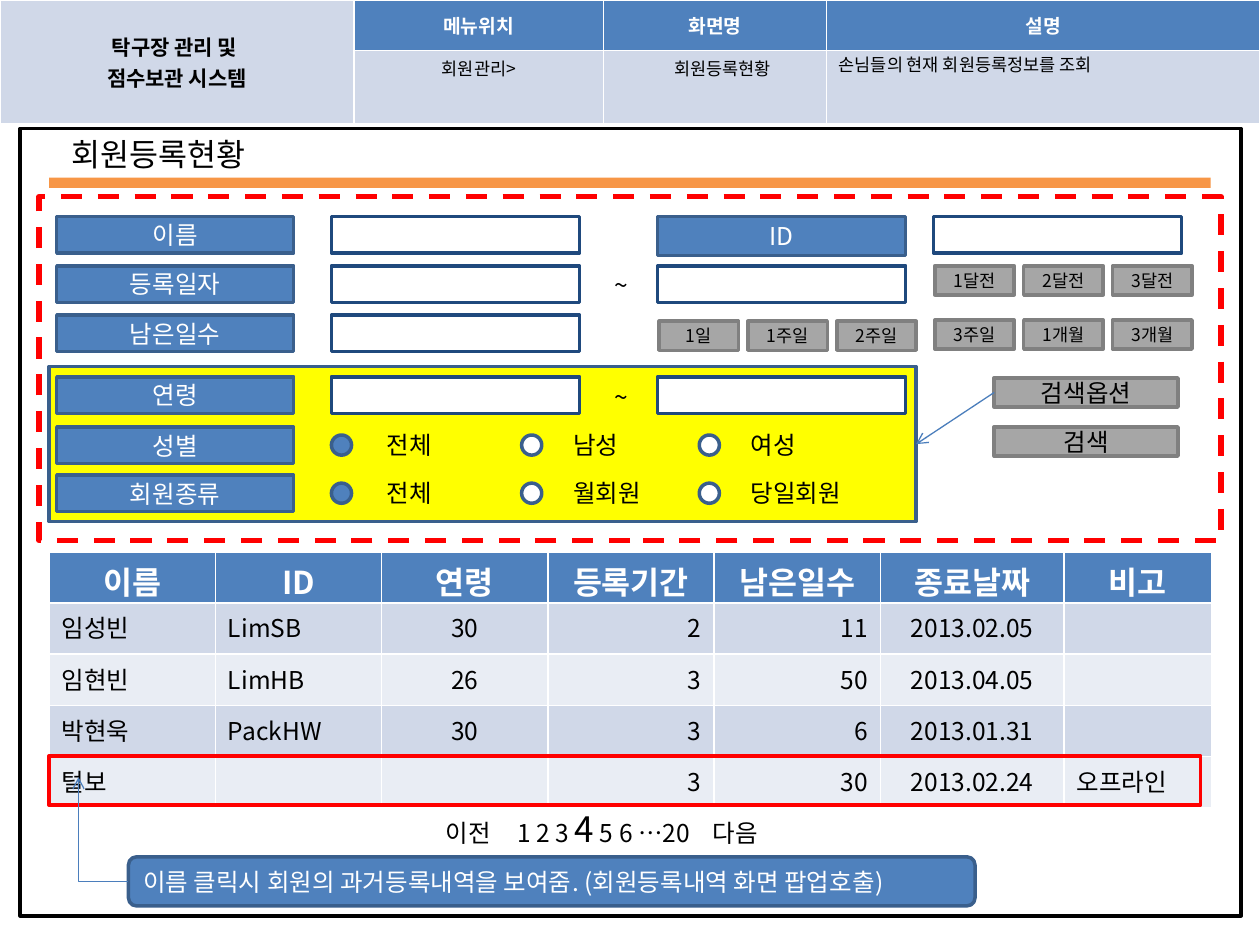
import pptx
import pptx.util
import pptx.dml.color
import pptx.enum.dml
import pptx.enum.shapes
import pptx.enum.text
import pptx.oxml
import pptx.oxml.ns

Pt = pptx.util.Pt
SHAPE = pptx.enum.shapes.MSO_SHAPE
LINK = pptx.enum.shapes.MSO_CONNECTOR
ANCHOR = pptx.enum.text.MSO_ANCHOR
ALIGN = {"l": pptx.enum.text.PP_ALIGN.LEFT, "c": pptx.enum.text.PP_ALIGN.CENTER,
         "r": pptx.enum.text.PP_ALIGN.RIGHT}
FONT = "Noto Sans CJK KR"
BLUE, EDGE, NAVY, WIRE = "4F81BD", "3A5F8C", "1F497D", "4B7EBC"
GRAY, DARK, BAND, PALE = "A6A6A6", "808080", "D0D8E8", "E9EDF4"
WHITE, BLACK, RED = "FFFFFF", "000000", "FF0000"

TITLE = "탁구장 관리 및 \n점수보관 시스템"
HEADS = ["메뉴위치", "화면명", "설명"]
HEAD_COLS = [202.3, 142.6, 127.4, 247.7]
# text, left, top, width, align, size
NOTES = [
    ("회원관리>", 202.3, 29.5, 142.6, "c", 10),
    ("회원등록현황", 352.8, 29.5, 120.2, "c", 10),
    ("손님들의 현재 회원등록정보를 조회", 472.3, 27.4, 247.7, "l", 10),
    ("회원등록현황", 33.8, 73.4, 247.7, "l", 18),
    ("~", 344.2, 150.5, 28.1, "l", 14),
    ("~", 344.2, 214.6, 28.1, "l", 14),
]
LABELS = {"이름": 123.8, "등록일자": 151.9, "남은일수": 180,
          "연령": 215.3, "성별": 244, "회원종류": 271.5}
COL_1, COL_2, COL_3 = 189.4, 375.8, 533.5
FIELDS = [(COL_1, "이름"), (COL_3, "이름"), (COL_1, "등록일자"), (COL_2, "등록일자"),
          (COL_1, "남은일수"), (COL_1, "연령"), (COL_2, "연령")]
# left, top, captions
QUICK = [(534.2, 151.9, ["1달전", "2달전", "3달전"]),
         (376.6, 183.6, ["1일", "1주일", "2주일"]),
         (534.2, 182.9, ["3주일", "1개월", "3개월"])]
# dot left, text left, text width
RADIO = [(189.4, 213.8, 56.2), (298.1, 320.4, 73.4), (399.6, 421.9, 95.8)]
CHOICE = {"성별": ["전체", "남성", "여성"], "회원종류": ["전체", "월회원", "당일회원"]}
MEMBERS = [
    ["이름", "ID", "연령", "등록기간", "남은일수", "종료날짜", "비고"],
    ["임성빈", "LimSB", "30", "2", "11", "2013.02.05", ""],
    ["임현빈", "LimHB", "26", "3", "50", "2013.04.05", ""],
    ["박현욱", "PackHW", "30", "3", "6", "2013.01.31", ""],
    ["털보", "", "", "3", "30", "2013.02.24", "오프라인"],
]
MEMBER_COLS = [95] * 5 + [105.1, 84.2]
PAGES = [("이전\t1 2 3 ", 14), ("4", 20), (" 5 6 …20\t다음", 14)]
TIP = "이름 클릭시 회원의 과거등록내역을 보여줌. (회원등록내역 화면 팝업호출)"

deck = pptx.Presentation()
deck.slide_width, deck.slide_height = Pt(720), Pt(540)
slide = deck.slides.add_slide(deck.slide_layouts[6])
shapes = slide.shapes


def rgb(code):
    return pptx.dml.color.RGBColor.from_string(code)


def write(frame, text, size=14, color=BLACK, bold=False, align="l"):
    """Fill a frame; text is a string or a list of (string, size) runs."""
    runs = [(text, size)] if isinstance(text, str) else text
    para = frame.paragraphs[0]
    para.alignment = ALIGN[align]
    for words, pts in runs:
        for i, part in enumerate(words.split("\n")):
            if i:
                para = frame.add_paragraph()
                para.alignment = ALIGN[align]
            run = para.add_run()
            run.text = part
            font = run.font
            font.size, font.bold, font.name = Pt(pts), bold, FONT
            font.color.rgb = rgb(color)
            east = pptx.oxml.parse_xml(
                f'<a:ea {pptx.oxml.ns.nsdecls("a")} typeface="{FONT}"/>')
            run._r.get_or_add_rPr().append(east)


def box(x, y, w, h, fill=None, line=None, width=2, kind=SHAPE.RECTANGLE,
        text="", **style):
    item = shapes.add_shape(kind, Pt(x), Pt(y), Pt(w), Pt(h))
    item.shadow.inherit = False
    if fill:
        item.fill.solid()
        item.fill.fore_color.rgb = rgb(fill)
    else:
        item.fill.background()
    if line:
        item.line.color.rgb = rgb(line)
        item.line.width = Pt(width)
    else:
        item.line.fill.background()
    if text:
        item.text_frame.vertical_anchor = ANCHOR.MIDDLE
        write(item.text_frame, text, **style)
    return item


def label(text, x, y, w=135.4, h=20.9):
    box(x, y, w, h, BLUE, EDGE, text=text, color=WHITE, align="c")


def button(text, x, y, w, size):
    return box(x, y, w, 16.6, GRAY, DARK, text=text, size=size, align="c")


def note(text, x, y, w, h, **style):
    frame = shapes.add_textbox(Pt(x), Pt(y), Pt(w), Pt(h)).text_frame
    frame.word_wrap = True
    frame.auto_size = pptx.enum.text.MSO_AUTO_SIZE.SHAPE_TO_FIT_TEXT
    write(frame, text, **style)
    return frame


def grid(x, y, cols, rows):
    """Add a table with given column widths and row heights."""
    table = shapes.add_table(len(rows), len(cols), Pt(x), Pt(y),
                             Pt(sum(cols)), Pt(sum(rows))).table
    for col, w in zip(table.columns, cols):
        col.width = Pt(w)
    for row, h in zip(table.rows, rows):
        row.height = Pt(h)
    return table


def paint(cell, fill):
    cell.fill.solid()
    cell.fill.fore_color.rgb = rgb(fill)


def wire(kind, x1, y1, x2, y2):
    """Add a thin connector with an open arrowhead at its end."""
    link = shapes.add_connector(kind, Pt(x1), Pt(y1), Pt(x2), Pt(y2))
    link.line.color.rgb = rgb(WIRE)
    link.line.width = Pt(0.75)
    names = pptx.oxml.ns.nsdecls("a")
    link.line._get_or_add_ln().append(
        pptx.oxml.parse_xml(f'<a:tailEnd {names} type="arrow"/>'))
    link._element.spPr.append(pptx.oxml.parse_xml(f"<a:effectLst {names}/>"))
    return link


# Page header
top = grid(0, 0, HEAD_COLS, [28.8, 35.5])
for c in range(4):
    paint(top.cell(0, c), BLUE if c else BAND)
    paint(top.cell(1, c), BAND)
    top.cell(0, c).vertical_anchor = ANCHOR.MIDDLE
top.cell(0, 0).merge(top.cell(1, 0))
write(top.cell(0, 0).text_frame, TITLE, size=12, bold=True, align="c")
for c, head in enumerate(HEADS, 1):
    write(top.cell(0, c).text_frame, head, size=11, color=WHITE, bold=True, align="c")

# Screen frame and search area
box(11.5, 73.4, 697.7, 450, line=BLACK)
box(28.1, 101.5, 663.8, 5.8, "F79646")
extra = box(28.1, 209.5, 495.4, 88.6, "FFFF00", EDGE)
area = box(22.3, 112.3, 675.4, 196.6, line=RED, width=3)
area.line.dash_style = pptx.enum.dml.MSO_LINE.DASH
for text, x, y, w, align, size in NOTES:
    note(text, x, y, w, size * 1.2 + 7.2, align=align, size=size)
for text, y in LABELS.items():
    label(text, 32.4, y)
label("ID", COL_2, LABELS["이름"], 141.8, 22.3)
for x, row in FIELDS:
    box(x, LABELS[row], 141.8, 20.9, WHITE, NAVY)
for x, y, names in QUICK:
    for i, name in enumerate(names):
        button(name, x + i * 50.8, y, 45.4, 10)
for row, names in CHOICE.items():
    y = LABELS[row]
    for i, (name, (dot, x, w)) in enumerate(zip(names, RADIO)):
        box(dot, y + 4.6, 11.5, 11.5, WHITE if i else BLUE, EDGE, kind=SHAPE.OVAL)
        note(name, x, y - 1.8, w, 24.5)
option = button("검색옵션", 568.1, 216, 105.1, 14)
button("검색", 568.1, 244, 105.1, 14)
link = wire(LINK.STRAIGHT, 568.1, 224.3, 523.5, 253.8)
link.begin_connect(option, 1)
link.end_connect(extra, 3)

# Member list
table = grid(28.1, 315.4, MEMBER_COLS, [29.2] * 5)
for r, row in enumerate(MEMBERS):
    for c, text in enumerate(row):
        cell = table.cell(r, c)
        paint(cell, (BAND if r % 2 else PALE) if r else BLUE)
        if text:
            write(cell.text_frame, text, size=14 if r else 18, bold=not r,
                  color=BLACK if r else WHITE, align="llcrrcl"[c] if r else "c")
pager = note(PAGES, 247.7, 457.9, 298.1, 31.7)
pager.paragraphs[0]._p.get_or_add_pPr().append(pptx.oxml.parse_xml(
    f'<a:tabLst {pptx.oxml.ns.nsdecls("a")}>' + "".join(
        f'<a:tab pos="{Pt(x)}" algn="l"/>' for x in (41, 152.5)) + "</a:tabLst>"))
box(28.1, 432, 658.1, 28.1, line=RED)
box(73.4, 489.6, 483.8, 28.1, BLUE, EDGE, kind=SHAPE.ROUNDED_RECTANGLE,
    text=TIP, color=WHITE)
bend = wire(LINK.ELBOW, 73.4, 503.6, 44.9, 444.2)
bend._element.spPr.prstGeom.set("prst", "bentConnector2")

deck.save("out.pptx")
